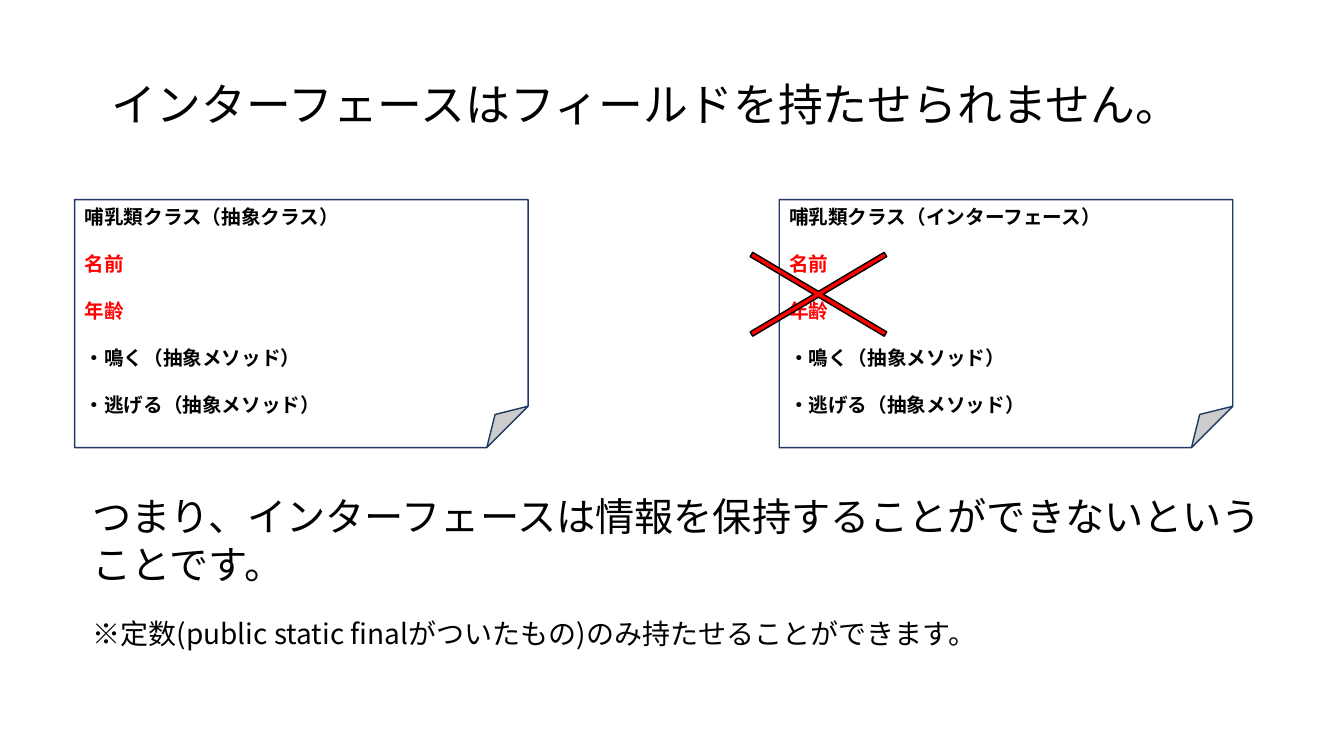
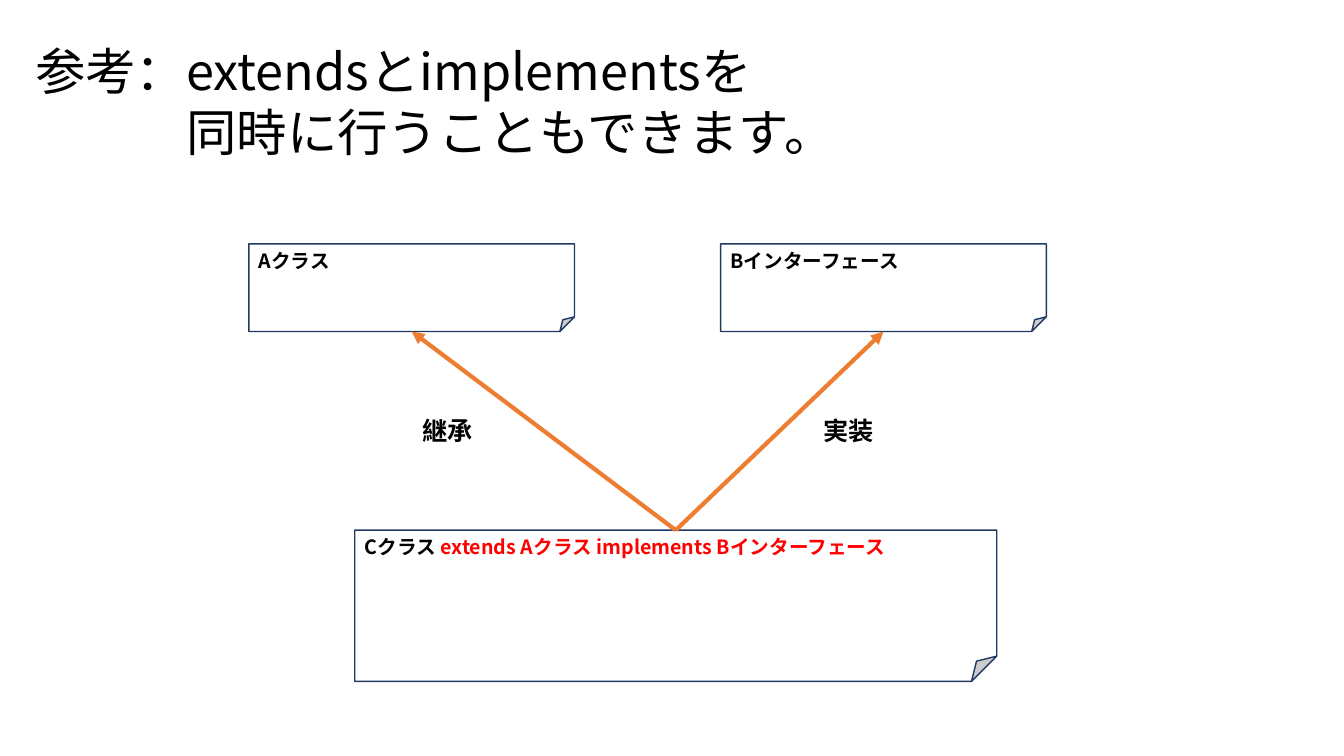
import pptx
import pptx.util
import pptx.dml.color
import pptx.enum.shapes
import pptx.enum.text
import pptx.oxml
import pptx.oxml.ns

Pt = pptx.util.Pt
RGBColor = pptx.dml.color.RGBColor
SHAPES = pptx.enum.shapes.MSO_SHAPE

BLACK = RGBColor(0x00, 0x00, 0x00)
WHITE = RGBColor(0xFF, 0xFF, 0xFF)
RED = RGBColor(0xFF, 0x00, 0x00)
NAVY = RGBColor(0x20, 0x38, 0x64)
ORANGE = RGBColor(0xED, 0x7D, 0x31)
FONT = "Noto Sans CJK JP"
LINE_FACTOR = 1.2
NOTE_SIZE = 14

FIELD_TITLE = "インターフェースはフィールドを持たせられません。"
MAMMALS = [("哺乳類クラス（抽象クラス）", 53.3), ("哺乳類クラス（インターフェース）", 556.6)]
MEMBERS = [
    [("名前", RED)],
    [("年齢", RED)],
    [("・鳴く（抽象メソッド）", BLACK)],
    [("・逃げる（抽象メソッド）", BLACK)],
]
CONCLUSION = "つまり、インターフェースは情報を保持することができないということです。"
REMARK = "※定数(public static finalがついたもの)のみ持たせることができます。"

BOTH_TITLE = ["参考：extendsとimplementsを", "同時に行うこともできます。"]
CHILD = [("Cクラス ", BLACK), ("extends Aクラス implements Bインターフェース", RED)]
PARENTS = [
    ("Aクラス", 177.8, "継承", 294.5),
    ("Bインターフェース", 514.8, "実装", 581),
]


def write_text(box, lines, size, bold=False, gap=0, hanging=0, wrap=True):
    frame = box.text_frame
    frame.word_wrap = wrap
    frame.vertical_anchor = pptx.enum.text.MSO_ANCHOR.TOP
    for index, line in enumerate(lines):
        para = frame.add_paragraph() if index else frame.paragraphs[0]
        para.alignment = pptx.enum.text.PP_ALIGN.LEFT
        para.line_spacing = Pt(size * LINE_FACTOR)
        if index:
            para.space_before = Pt(gap)
            if hanging:
                para._p.get_or_add_pPr().set("marL", str(Pt(hanging)))
        for text, color in [(line, BLACK)] if isinstance(line, str) else line:
            span = para.add_run()
            span.text = text
            span.font.size = Pt(size)
            span.font.bold = bold
            span.font.name = FONT
            span.font.color.rgb = color
            east_asian = pptx.oxml.parse_xml(
                f'<a:ea {pptx.oxml.ns.nsdecls("a")} typeface="{FONT}"/>')
            span._r.get_or_add_rPr().append(east_asian)


def add_text(page, place, lines, size, **style):
    box = page.shapes.add_textbox(*map(Pt, place))
    write_text(box, lines, size, **style)


def add_figure(page, kind, place, fill, line):
    figure = page.shapes.add_shape(kind, *map(Pt, place))
    figure.shadow.inherit = False
    figure.fill.solid()
    figure.fill.fore_color.rgb = fill
    figure.line.color.rgb = line
    figure.line.width = Pt(1)
    return figure


def add_note(page, place, lines):
    note = add_figure(page, SHAPES.FOLDED_CORNER, place, WHITE, NAVY)
    write_text(note, lines, NOTE_SIZE, bold=True, gap=NOTE_SIZE * LINE_FACTOR)
    return note


def add_arrow(page, child, parent):
    arrow = page.shapes.add_connector(
        pptx.enum.shapes.MSO_CONNECTOR.STRAIGHT, 0, 0, 0, 0)
    arrow.begin_connect(child, 0)
    arrow.end_connect(parent, 2)
    arrow.line.color.rgb = ORANGE
    arrow.line.width = Pt(3)
    namespace = pptx.oxml.ns.nsdecls("a")
    arrow.line._get_or_add_ln().append(
        pptx.oxml.parse_xml(f'<a:tailEnd {namespace} type="triangle"/>'))
    arrow._element.spPr.append(pptx.oxml.parse_xml(f"<a:effectLst {namespace}/>"))


def build_field_page(page):
    add_text(page, (72.7, 51.1, 900, 46), [FIELD_TITLE], 32)
    for heading, left in MAMMALS:
        add_note(page, (left, 142.6, 324, 177.1), [heading, *MEMBERS])
    cross = add_figure(page, SHAPES.MATH_MULTIPLY, (492.5, 155.5, 184.3, 109.4), RED, BLACK)
    cross.adjustments[0] = 0.033
    add_text(page, (59, 348.5, 866, 75), [CONCLUSION], 28)
    add_text(page, (59, 437, 886, 31.7), [REMARK], 20)


def build_both_page(page):
    add_text(page, (18, 25.2, 864.7, 94.3), BOTH_TITLE, 36, hanging=108)
    child = add_note(page, (253.4, 378.7, 458.6, 108), [CHILD])
    for name, left, relation, label_left in PARENTS:
        parent = add_note(page, (left, 174.2, 232.6, 62.6), [name])
        add_arrow(page, child, parent)
        add_text(page, (label_left, 293, 51, 29), [relation], 18, bold=True, wrap=False)


def main():
    deck = pptx.Presentation()
    deck.slide_width = Pt(960)
    deck.slide_height = Pt(540)
    for build in (build_field_page, build_both_page):
        build(deck.slides.add_slide(deck.slide_layouts[6]))
    deck.save("out.pptx")


if __name__ == "__main__":
    main()
